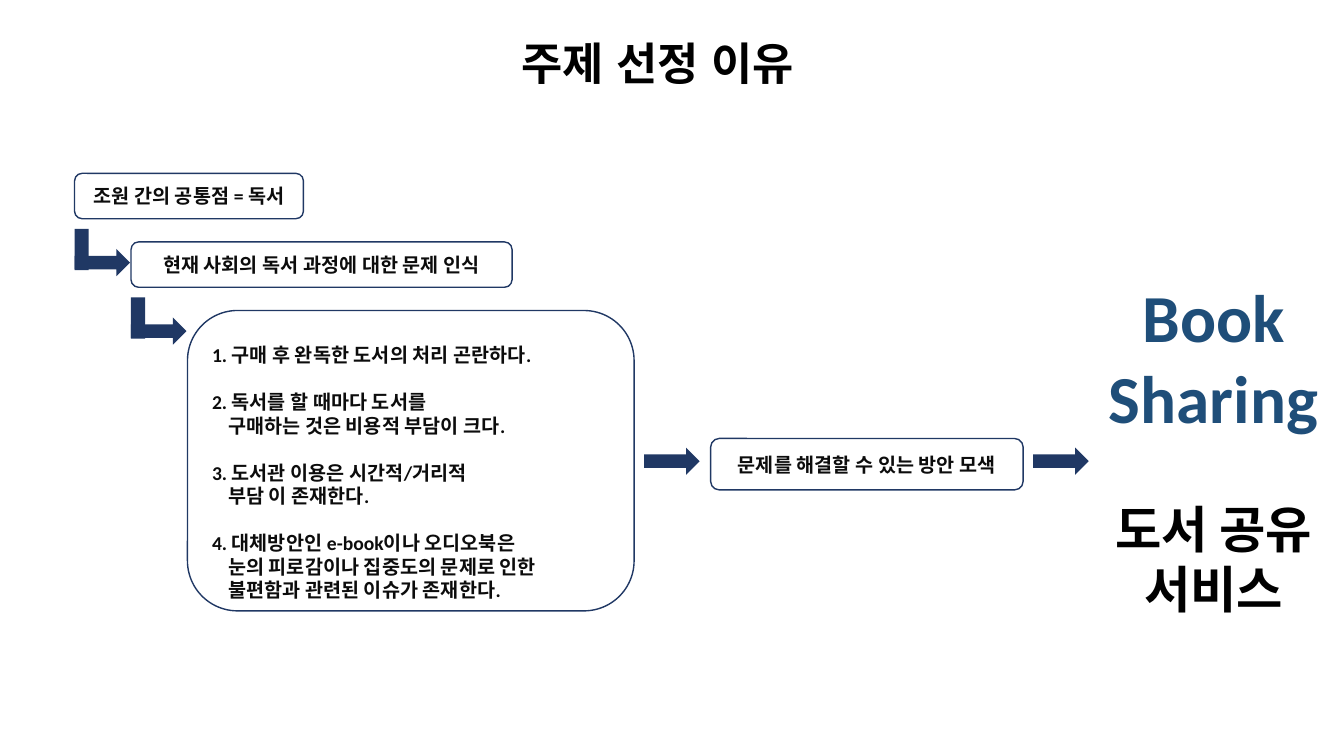
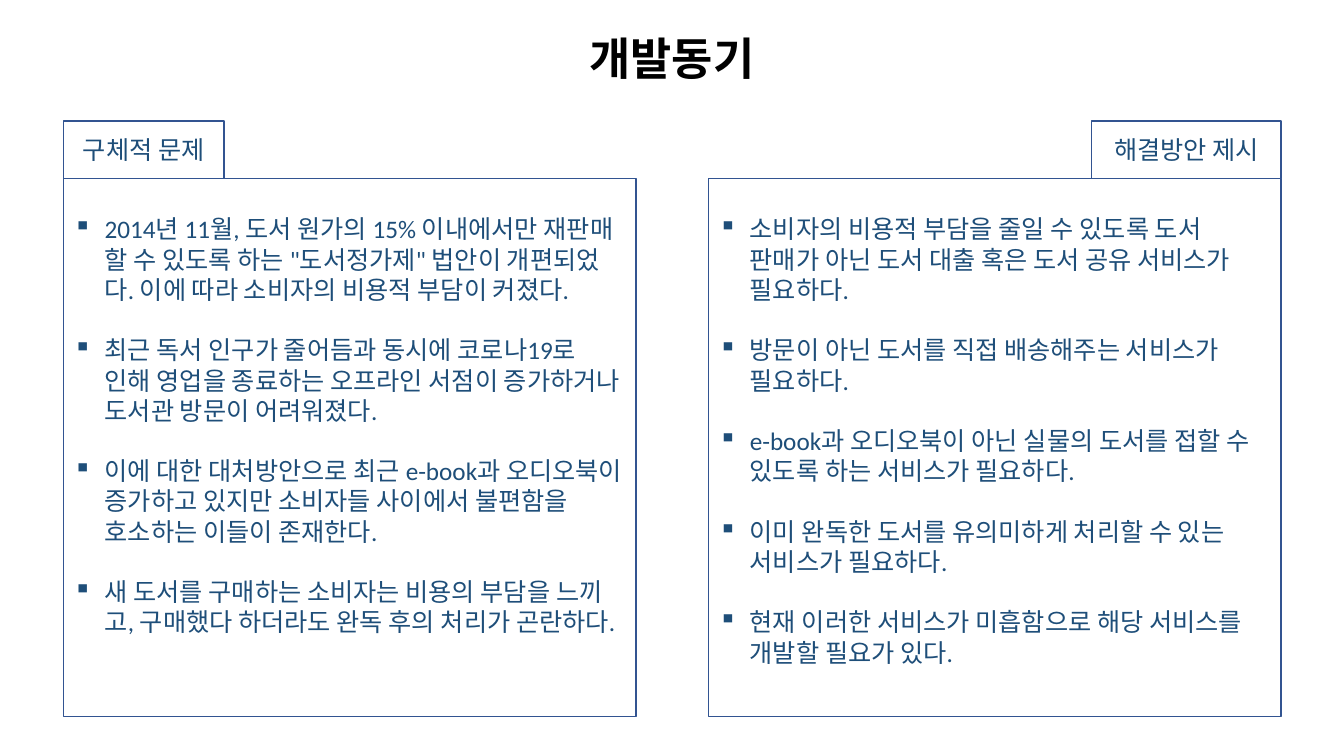
import dataclasses

import lxml.etree
import pptx
import pptx.dml.color
import pptx.enum.lang
import pptx.enum.shapes
import pptx.enum.text
import pptx.oxml.ns
import pptx.util

Pt = pptx.util.Pt
Inches = pptx.util.Inches
SHAPE = pptx.enum.shapes.MSO_SHAPE
ALIGN = pptx.enum.text.PP_ALIGN
ANCHOR = pptx.enum.text.MSO_ANCHOR


@dataclasses.dataclass(frozen=True)
class Theme:
    body_font: str = "Calibri"
    title_font: str = "Noto Sans CJK KR"
    black: str = "000000"
    ink: str = "0C0C0C"
    navy: str = "203864"
    frame: str = "325491"
    accent: str = "1F4E79"
    panel_text: str = "1E4E79"
    title_size: int = 32
    step_size: int = 14
    panel_size: int = 18
    brand_size: int = 48
    service_size: int = 36
    line_width: int = 1


@dataclasses.dataclass(frozen=True)
class Box:
    left: float
    top: float
    width: float
    height: float

    def percent(self, left, top, width, height):
        return Box(
            self.left + self.width * left / 100,
            self.top + self.height * top / 100,
            self.width * width / 100,
            self.height * height / 100,
        )

    def emu(self):
        return [int(n) for n in (self.left, self.top, self.width, self.height)]


@dataclasses.dataclass(frozen=True)
class Style:
    size: int
    color: str
    bold: bool = False
    font: str = Theme.body_font


THEME = Theme()
PAGE = Box(0, 0, Inches(13.33), Inches(7.5))
TITLE = Style(THEME.title_size, THEME.black, True, THEME.title_font)
STEP = Style(THEME.step_size, THEME.ink, True)
PANEL = Style(THEME.panel_size, THEME.panel_text)
BRAND = Style(THEME.brand_size, THEME.accent, True)
SERVICE = Style(THEME.service_size, THEME.black, True)

PROBLEMS = [
    ["1. 구매 후 완독한 도서의 처리 곤란하다."],
    ["2. 독서를 할 때마다 도서를", "구매하는 것은 비용적 부담이 크다."],
    ["3. 도서관 이용은 시간적/거리적", "부담 이 존재한다."],
    [
        "4. 대체방안인 e-book이나 오디오북은",
        "눈의 피로감이나 집중도의 문제로 인한",
        "불편함과 관련된 이슈가 존재한다.",
    ],
]
CAUSES = [
    "2014년 11월, 도서 원가의 15% 이내에서만 재판매 할 수 있도록 하는 "
    "\"도서정가제\" 법안이 개편되었다. 이에 따라 소비자의 비용적 부담이 커졌다.",
    "최근 독서 인구가 줄어듬과 동시에 코로나19로 인해 영업을 종료하는 "
    "오프라인 서점이 증가하거나 도서관 방문이 어려워졌다.",
    "이에 대한 대처방안으로 최근 e-book과 오디오북이 증가하고 있지만 "
    "소비자들 사이에서 불편함을 호소하는 이들이 존재한다.",
    "새 도서를 구매하는 소비자는 비용의 부담을 느끼고, 구매했다 하더라도 "
    "완독 후의 처리가 곤란하다.",
]
REMEDIES = [
    "소비자의 비용적 부담을 줄일 수 있도록 도서 판매가 아닌 도서 대출 혹은 "
    "도서 공유 서비스가 필요하다.",
    "방문이 아닌 도서를 직접 배송해주는 서비스가 필요하다.",
    "e-book과 오디오북이 아닌 실물의 도서를 접할 수 있도록 하는 서비스가 필요하다.",
    "이미 완독한 도서를 유의미하게 처리할 수 있는 서비스가 필요하다.",
    "현재 이러한 서비스가 미흡함으로 해당 서비스를 개발할 필요가 있다.",
]


def rgb(value):
    return pptx.dml.color.RGBColor.from_string(value)


def apply(target, values):
    for name, value in values.items():
        setattr(target, name, value)


def write(frame, lines, **frame_format):
    apply(frame, {"word_wrap": True, "vertical_anchor": ANCHOR.MIDDLE, **frame_format})
    paragraphs = []
    for index, (text, style, paragraph_format) in enumerate(lines):
        paragraph = frame.add_paragraph() if index else frame.paragraphs[0]
        apply(paragraph, {"alignment": ALIGN.CENTER, **paragraph_format})
        run = paragraph.add_run()
        run.text = text
        run.font.color.rgb = rgb(style.color)
        apply(run.font, {
            "size": Pt(style.size),
            "bold": style.bold,
            "name": style.font,
            "language_id": pptx.enum.lang.MSO_LANGUAGE_ID.KOREAN,
        })
        east_asian = lxml.etree.SubElement(
            run.font._element, pptx.oxml.ns.qn("a:ea"))
        east_asian.set("typeface", style.font)
        paragraphs.append(paragraph)
    return paragraphs


def indent(paragraph, margin, first_line=0, bullet=None):
    properties = paragraph._p.get_or_add_pPr()
    properties.set("marL", str(int(Inches(margin))))
    properties.set("indent", str(int(Inches(first_line))))
    if bullet:
        mark = lxml.etree.SubElement(properties, pptx.oxml.ns.qn("a:buChar"))
        mark.set("char", bullet)


def outlined(slide, kind, box, color):
    shape = slide.shapes.add_shape(kind, *box.emu())
    shape.shadow.inherit = False
    shape.fill.background()
    shape.line.color.rgb = rgb(color)
    shape.line.width = Pt(THEME.line_width)
    return shape.text_frame


def solid(shapes, kind, box):
    shape = shapes.add_shape(kind, *box.emu())
    shape.shadow.inherit = False
    shape.fill.solid()
    shape.fill.fore_color.rgb = rgb(THEME.navy)
    shape.line.fill.background()


def title(slide, box, text):
    heading = slide.shapes.add_textbox(*box.emu())
    write(heading.text_frame, [(text, TITLE, {"line_spacing": 0.9})])


def step(slide, box, text):
    write(outlined(slide, SHAPE.ROUNDED_RECTANGLE, box, THEME.navy),
          [(text, STEP, {})])


def elbow_arrow(slide, box):
    elbow = slide.shapes.add_group_shape()
    solid(elbow.shapes, SHAPE.RIGHT_ARROW, box.percent(0, 42.55, 100, 57.45))
    solid(elbow.shapes, SHAPE.RECTANGLE, box.percent(0, 0, 25.45, 87.2))


def problem_list(slide, box):
    gap = Pt(THEME.step_size * 1.2)
    lines, continued = [], []
    for number, problem in enumerate(PROBLEMS):
        for row, text in enumerate(problem):
            spacing = gap if number and not row else Pt(0)
            lines.append((text, STEP, {"alignment": ALIGN.LEFT, "space_before": spacing}))
            continued.append(row > 0)
    frame = outlined(slide, SHAPE.ROUNDED_RECTANGLE, box, THEME.navy)
    paragraphs = write(frame, lines, margin_top=Inches(0.25), margin_bottom=Inches(0.02))
    for paragraph, is_continued in zip(paragraphs, continued):
        if is_continued:
            indent(paragraph, 0.16)


def service_name(slide, box):
    name = slide.shapes.add_textbox(*box.emu())
    gap = {"space_before": Pt(THEME.service_size * 1.22)}
    write(name.text_frame, [
        ("Book", BRAND, {}),
        ("Sharing", BRAND, {}),
        ("도서 공유", SERVICE, gap),
        ("서비스", SERVICE, {}),
    ])


def panel(slide, box, heading, tab_left, tab_width, points):
    tab_height = 9.64
    body = outlined(slide, SHAPE.RECTANGLE,
                    box.percent(0, tab_height, 100, 100 - tab_height), THEME.frame)
    gap = Pt(THEME.panel_size * 1.2)
    lines = [
        (text, PANEL, {"alignment": ALIGN.LEFT, "space_before": gap if index else Pt(0)})
        for index, text in enumerate(points)
    ]
    for paragraph in write(body, lines, vertical_anchor=ANCHOR.TOP,
                           margin_top=Inches(0.35)):
        indent(paragraph, 0.31, -0.31, "▪")
    tab = outlined(slide, SHAPE.RECTANGLE,
                   box.percent(tab_left, 0, tab_width, tab_height), THEME.frame)
    write(tab, [(heading, PANEL, {})])


def topic_slide(slide, page):
    title(slide, page.percent(5.78, 4, 86.33, 9.47), "주제 선정 이유")
    step(slide, page.percent(5.55, 22.93, 17.03, 6), "조원 간의 공통점 = 독서")
    step(slide, page.percent(9.75, 32, 28.35, 6), "현재 사회의 독서 과정에 대한 문제 인식")
    for left, top in ((5.55, 30.27), (9.75, 39.33)):
        elbow_arrow(slide, page.percent(left, top, 4.13, 6.27))
    problem_list(slide, page.percent(13.95, 41.07, 33.23, 39.73))
    step(slide, page.percent(52.88, 58, 23.25, 6.8), "문제를 해결할 수 있는 방안 모색")
    for left in (47.93, 76.88):
        solid(slide.shapes, SHAPE.RIGHT_ARROW, page.percent(left, 59.2, 4.13, 3.6))
    service_name(slide, page.percent(81, 35.6, 18.6, 47.07))


def motive_slide(slide, page):
    title(slide, page.percent(6.83, 3.33, 86.33, 9.47), "개발동기")
    for left, heading, tab_left, tab_width, points in (
        (4.73, "구체적 문제", 0, 28, CAUSES),
        (52.73, "해결방안 제시", 66.9, 33.1, REMEDIES),
    ):
        panel(slide, page.percent(left, 16, 42.6, 78.8), heading, tab_left, tab_width, points)


def main():
    deck = pptx.Presentation()
    apply(deck, {"slide_width": PAGE.width, "slide_height": PAGE.height})
    for build in (topic_slide, motive_slide):
        build(deck.slides.add_slide(deck.slide_layouts[6]), PAGE)
    deck.save("out.pptx")


if __name__ == "__main__":
    main()
